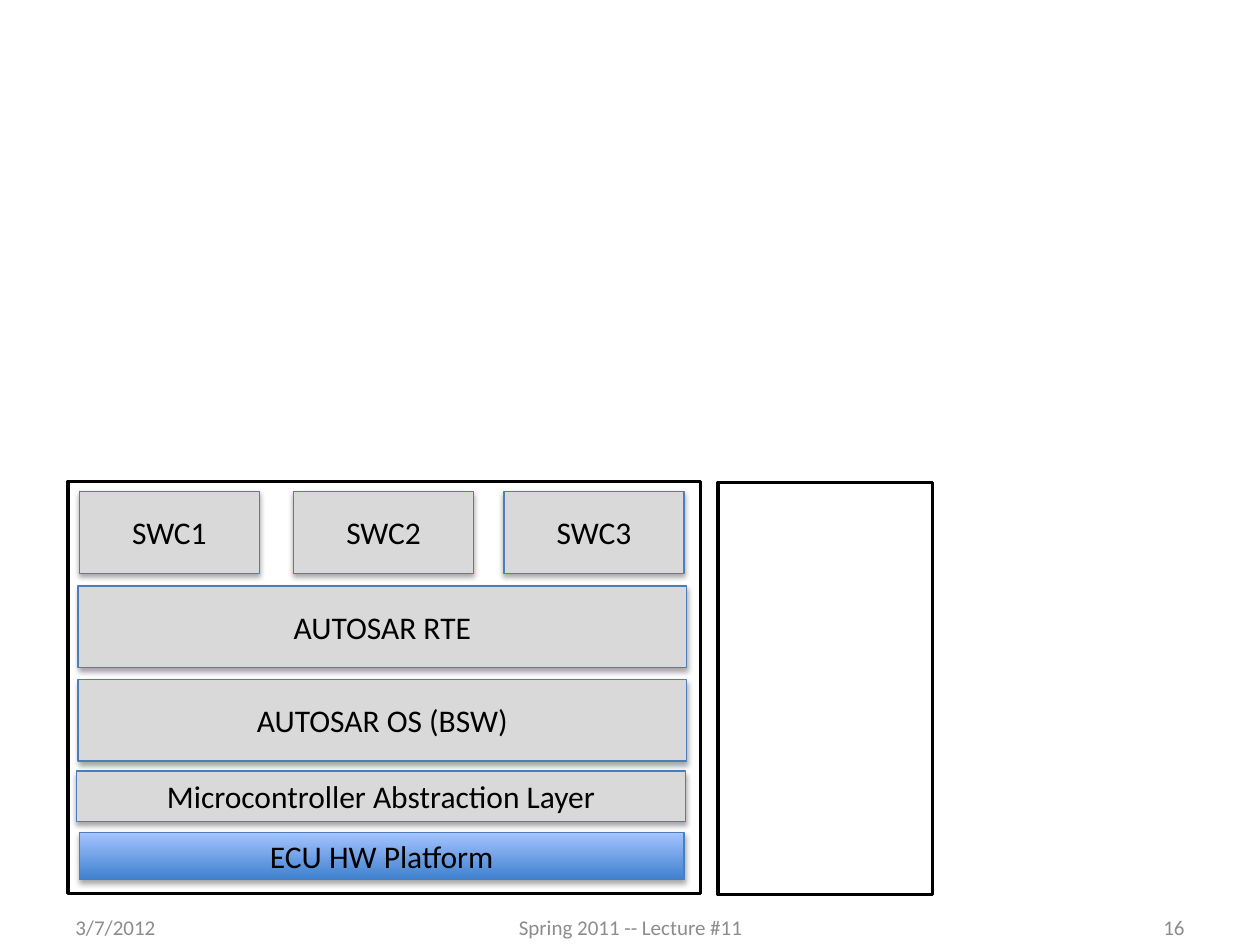
"""Build the AUTOSAR layered architecture slide."""
from lxml import etree
from pptx import Presentation
from pptx.dml.color import RGBColor
from pptx.enum.shapes import MSO_SHAPE
from pptx.enum.text import MSO_ANCHOR, PP_ALIGN
from pptx.oxml.ns import qn
from pptx.util import Inches, Pt

RECTANGLE = MSO_SHAPE.RECTANGLE
MIDDLE = MSO_ANCHOR.MIDDLE
LEFT, CENTER, RIGHT = PP_ALIGN.LEFT, PP_ALIGN.CENTER, PP_ALIGN.RIGHT

BLACK = RGBColor(0x00, 0x00, 0x00)
WHITE = RGBColor(0xFF, 0xFF, 0xFF)
GREY = RGBColor(0xD9, 0xD9, 0xD9)
FOOTER_GREY = RGBColor(0x8C, 0x8C, 0x8C)
EDGE_BLUE = RGBColor(0x4B, 0x7E, 0xBC)
DEEP_BLUE = RGBColor(0x3F, 0x80, 0xCE)
PALE_BLUE = RGBColor(0xA4, 0xC4, 0xFF)

FONT = "Calibri"
COMPONENTS = [("SWC1", 0.63), ("SWC2", 2.33), ("SWC3", 4)]
COMPONENT_TOP, COMPONENT_WIDTH, COMPONENT_HEIGHT = 3.9, 1.43, 0.65
LAYERS = [
    ("AUTOSAR RTE", 0.62, 4.65, 4.83, 0.65),
    ("AUTOSAR OS (BSW)", 0.62, 5.39, 4.83, 0.65),
    ("Microcontroller Abstraction Layer", 0.61, 6.12, 4.83, 0.4),
]
PLATFORM = ("ECU HW Platform", 0.63, 6.61, 4.8, 0.37)
ECU_FRAME = (0.54, 3.82, 5.02, 3.27)
EMPTY_FRAME = (5.7, 3.83, 1.7, 3.27)
FOOTERS = [
    ("3/7/2012", 0.5, 2.33, LEFT),
    ("Spring 2011 -- Lecture #11", 3.42, 3.17, CENTER),
    ("16", 7.17, 2.33, RIGHT),
]
FOOTER_TOP, FOOTER_HEIGHT = 7.16, 0.4


def write(frame, text, size, color, alignment):
    frame.word_wrap = True
    frame.vertical_anchor = MIDDLE
    frame.text = text
    paragraph = frame.paragraphs[0]
    paragraph.alignment = alignment
    font = paragraph.runs[0].font
    font.name, font.size, font.color.rgb = FONT, Pt(size), color


def add_rectangle(slide, bounds, fill, edge, edge_width):
    rectangle = slide.shapes.add_shape(RECTANGLE, *map(Inches, bounds))
    rectangle.fill.solid()
    rectangle.fill.fore_color.rgb = fill
    rectangle.line.color.rgb = edge
    rectangle.line.width = Pt(edge_width)
    rectangle.shadow.inherit = False
    return rectangle


def add_drop_shadow(shape):
    effects = shape.element.spPr.find(qn("a:effectLst"))
    shadow = etree.SubElement(
        effects, qn("a:outerShdw"), blurRad=str(Pt(3.1)), dist=str(Pt(1.8)),
        dir="5400000", rotWithShape="0")
    color = etree.SubElement(shadow, qn("a:srgbClr"), val=str(BLACK))
    etree.SubElement(color, qn("a:alpha"), val="35000")


def add_block(slide, text, *bounds):
    block = add_rectangle(slide, bounds, GREY, EDGE_BLUE, 0.75)
    add_drop_shadow(block)
    write(block.text_frame, text, 18, BLACK, CENTER)
    return block


def main():
    prs = Presentation()
    prs.slide_width, prs.slide_height = Inches(10), Inches(7.5)
    slide = prs.slides.add_slide(prs.slide_layouts[6])

    for frame in (ECU_FRAME, EMPTY_FRAME):
        add_rectangle(slide, frame, WHITE, BLACK, 2)

    for text, left, width, alignment in FOOTERS:
        footer = slide.shapes.add_textbox(
            *map(Inches, (left, FOOTER_TOP, width, FOOTER_HEIGHT)))
        write(footer.text_frame, text, 12, FOOTER_GREY, alignment)

    platform = add_block(slide, *PLATFORM)
    platform.fill.gradient()
    platform.fill.gradient_angle = 90
    for stop, color in zip(platform.fill.gradient_stops, (DEEP_BLUE, PALE_BLUE)):
        stop.color.rgb = color

    for layer in reversed(LAYERS):
        add_block(slide, *layer)
    for name, left in COMPONENTS:
        add_block(slide, name, left, COMPONENT_TOP, COMPONENT_WIDTH, COMPONENT_HEIGHT)

    prs.save("out.pptx")


if __name__ == "__main__":
    main()
